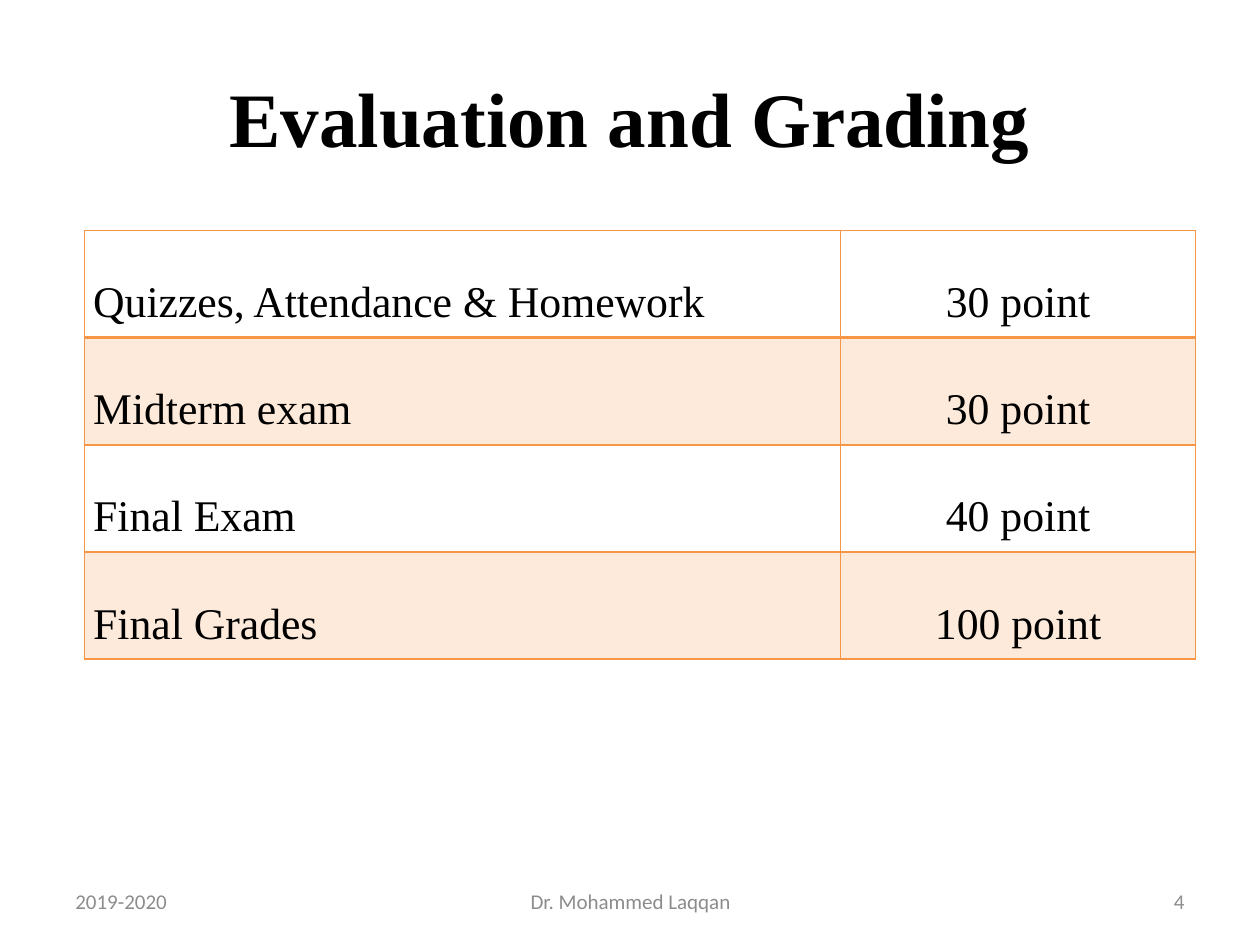
from dataclasses import dataclass

from lxml import etree
from pptx import Presentation
from pptx import util as u
from pptx.dml.color import RGBColor
from pptx.enum import text
from pptx.oxml import ns


@dataclass(frozen=True)
class Theme:
    ink: str = "000000"
    grey: str = "8C8C8C"
    line: str = "F79646"
    band: str = "FDEADA"
    serif: str = "Times New Roman"
    sans: str = "Calibri"
    head: int = 44
    body: int = 25
    foot: int = 12


LEFT, MID, RIGHT = text.PP_ALIGN.LEFT, text.PP_ALIGN.CENTER, text.PP_ALIGN.RIGHT


class Deck:
    def __init__(self, theme):
        self.theme = theme
        self.file = Presentation()
        self.file.slide_width, self.file.slide_height = u.Inches(10), u.Inches(7.5)
        self.slide = self.file.slides.add_slide(self.file.slide_layouts[5])

    def label(self, frame, words, size, face, color, align, bold=False):
        frame.text = words
        para = frame.paragraphs[0]
        para.alignment = align
        font = para.runs[0].font
        font.size, font.name, font.bold = u.Pt(size), face, bold
        font.color.rgb = RGBColor.from_string(color)
        return para

    def title(self, words, box):
        shape = self.slide.shapes.title
        shape.left, shape.top, shape.width, shape.height = map(u.Inches, box)
        shape.text_frame.vertical_anchor = text.MSO_ANCHOR.MIDDLE
        t = self.theme
        self.label(shape.text_frame, words, t.head, t.serif, t.ink, MID, True)

    def note(self, words, box, align):
        frame = self.slide.shapes.add_textbox(*map(u.Inches, box)).text_frame
        frame.word_wrap = True
        frame.vertical_anchor = text.MSO_ANCHOR.MIDDLE
        t = self.theme
        self.label(frame, words, t.foot, t.sans, t.grey, align)

    def border(self, cell, widths):
        props = cell._tc.get_or_add_tcPr()
        for side, width in zip("LRTB", widths):
            edge = etree.SubElement(props, ns.qn(f"a:ln{side}"), w=str(u.Pt(width)))
            fill = etree.SubElement(edge, ns.qn("a:solidFill"))
            etree.SubElement(fill, ns.qn("a:srgbClr"), val=self.theme.line)

    def cell(self, cell, words, align, shade, widths):
        t = self.theme
        cell.margin_left = cell.margin_right = u.Inches(0.07)
        cell.margin_top = cell.margin_bottom = 0
        para = self.label(cell.text_frame, words, t.body, t.serif, t.ink, align)
        para.line_spacing = 2.0
        para.space_before = para.space_after = u.Pt(6)
        self.border(cell, widths)
        if shade:
            cell.fill.solid()
            cell.fill.fore_color.rgb = RGBColor.from_string(t.band)
        else:
            cell.fill.background()

    def table(self, data, left, top, cols, high):
        box = map(u.Inches, (left, top, sum(cols), high * len(data)))
        grid = self.slide.shapes.add_table(len(data), len(cols), *box).table
        grid.first_row = grid.horz_banding = False
        for col, wide in zip(grid.columns, cols):
            col.width = u.Inches(wide)
        for r, row in enumerate(data):
            grid.rows[r].height = u.Inches(high)
            # A heavier rule runs below the first row
            widths = (1, 1, 2 if r == 1 else 1, 2 if r == 0 else 1)
            for c, words in enumerate(row):
                align = MID if c else LEFT
                self.cell(grid.cell(r, c), words, align, r % 2 == 1, widths)


def main():
    deck = Deck(Theme())
    deck.title("Evaluation and Grading", (0.5, 0.3, 9, 1.25))

    # Grading table
    grades = [
        ("Quizzes, Attendance & Homework", "30 point"),
        ("Midterm exam", "30 point"),
        ("Final Exam", "40 point"),
        ("Final Grades", "100 point"),
    ]
    deck.table(grades, 0.67, 1.83, (6, 2.82), 0.85)

    # Footer: date, lecturer, page number
    for words, left, wide, align in (
        ("2019-2020", 0.5, 2.33, LEFT),
        ("Dr. Mohammed Laqqan", 3.42, 3.17, MID),
        ("4", 7.17, 2.33, RIGHT),
    ):
        deck.note(words, (left, 6.95, wide, 0.4), align)

    deck.file.save("out.pptx")


if __name__ == "__main__":
    main()
